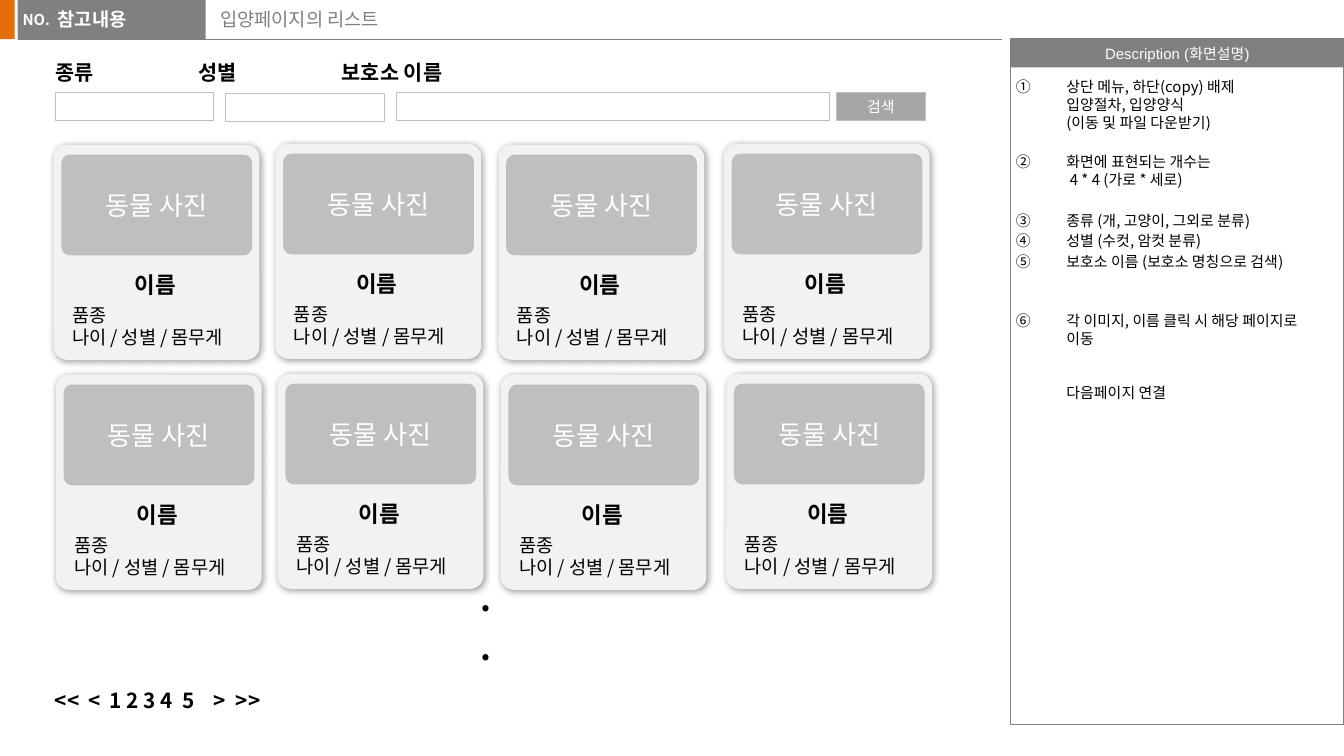
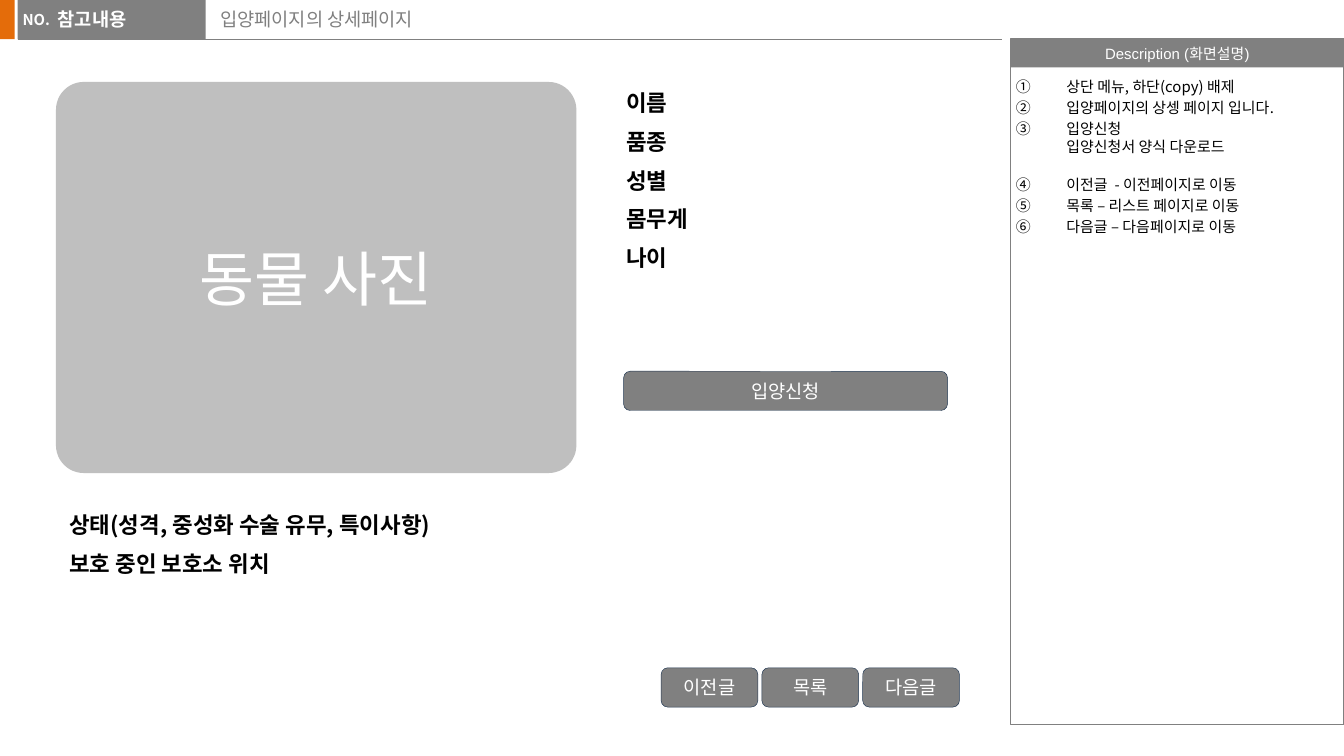
from copy import deepcopy
from dataclasses import dataclass

from lxml.etree import SubElement
from pptx import Presentation
from pptx.dml.color import RGBColor
from pptx.enum.shapes import MSO_CONNECTOR as Connector, MSO_SHAPE as Preset
from pptx.enum.text import MSO_ANCHOR as Anchor, MSO_AUTO_SIZE as Fit, PP_ALIGN as Align
from pptx.oxml.ns import qn
from pptx.util import Pt


@dataclass(frozen=True)
class Theme:
    """Colours, fonts and type sizes of the storyboard."""
    accent: str = "E46C0A"
    band: str = "808080"
    photo: str = "BFBFBF"
    search: str = "A6A6A6"
    card: str = "F2F2F2"
    edge: str = "233953"
    white: str = "FFFFFF"
    ink: str = "000000"
    korean: str = "Noto Sans CJK KR"
    latin: str = "Arial"
    small: float = 8
    normal: float = 10
    label: float = 11.1
    heading: float = 12
    caption: float = 14
    dot: float = 18
    poster: float = 32
    tight: float = 0.75


THEME = Theme()
INSETS = (7.2, 3.6, 7.2, 3.6)
HEADING = {"size": THEME.heading, "bold": True}
LABEL = {"size": THEME.label, "bold": True}
STACKED = {"line_spacing": THEME.tight, "space_before": Pt(10)}
CENTRED = {"alignment": Align.CENTER}


class Storyboard:
    """Draws storyboard elements on the current slide."""

    def __init__(self, deck, theme):
        """Keep the deck and its theme."""
        self.deck, self.theme = deck, theme

    def page(self, title, notes):
        """Start a slide with its title, header and description panel."""
        theme = self.theme
        self.slide = self.deck.slides.add_slide(self.deck.slide_layouts[5])
        self.canvas = self.slide.shapes
        heading = self.canvas.title
        for side, value in zip(("left", "top", "width", "height"), (110.9, 0.4, 425.5, 23)):
            setattr(heading, side, Pt(value))
        self.fill_text(heading, [title], {"size": theme.normal, "color": theme.band})
        self.box((-0.7, 0, 8.6, 21), theme.accent)
        self.rule((9.4, 21), (537, 21))
        self.box((9.4, 0, 100.8, 21), theme.band)
        white = {"color": theme.white, "bold": True}
        self.text((5, 2.2, 29.5, 17.3), ["NO."], {"size": theme.small, **white}, wrap=False)
        self.text((31, 0.7, 62.6, 22.3), ["참고내용"],
                  {"size": theme.normal, "name": theme.latin, **white}, insets=(0, 3.6, 0, 3.6))
        banner = self.box((541.4, 21, 178.6, 15.1), theme.band)
        self.fill_text(banner, ["Description (화면설명)"],
                       {"size": theme.small, "name": theme.latin, "color": theme.white},
                       CENTRED, anchor=Anchor.MIDDLE, wrap=False)
        self.box((541.4, 21, 178.6, 367.2), line=(theme.band, 0.75))
        self.description(notes)

    def box(self, place, fill=None, line=None, radius=None):
        """Draw a rectangle, rounded when a radius is given."""
        preset = Preset.RECTANGLE if radius is None else Preset.ROUNDED_RECTANGLE
        shape = self.canvas.add_shape(preset, *map(Pt, place))
        shape.shadow.inherit = False
        if radius is not None:
            shape.adjustments[0] = radius
        if fill:
            shape.fill.solid()
            shape.fill.fore_color.rgb = RGBColor.from_string(fill)
        else:
            shape.fill.background()
        if line:
            colour, weight = line
            shape.line.color.rgb = RGBColor.from_string(colour)
            shape.line.width = Pt(weight)
        else:
            shape.line.fill.background()
        return shape

    def rule(self, start, end):
        """Draw the thin header line."""
        line = self.canvas.add_connector(Connector.STRAIGHT, *map(Pt, start + end))
        line.line.color.rgb = RGBColor.from_string(self.theme.band)
        line.line.width = Pt(0.5)
        SubElement(line._element.spPr, qn("a:effectLst"))

    def fill_text(self, shape, lines, font, layout=None, insets=INSETS, anchor=Anchor.TOP,
                  wrap=True):
        """Fill a shape with formatted paragraphs."""
        frame = shape.text_frame
        sides = ("margin_left", "margin_top", "margin_right", "margin_bottom")
        settings = {"word_wrap": wrap, "auto_size": Fit.NONE, "vertical_anchor": anchor,
                    **dict(zip(sides, map(Pt, insets)))}
        for key, value in settings.items():
            setattr(frame, key, value)
        for index, line in enumerate(lines):
            paragraph = frame.add_paragraph() if index else frame.paragraphs[0]
            paragraph.text = line
            for key, value in {"alignment": Align.LEFT, **(layout or {})}.items():
                setattr(paragraph, key, value)
            self.style(paragraph, font)
        return frame

    def style(self, paragraph, font):
        """Apply font values to the runs and line breaks of a paragraph."""
        values = {"name": self.theme.korean, "bold": False, "color": self.theme.ink, **font}
        colour = values.pop("color")
        values["size"] = Pt(values["size"])
        for run in paragraph.runs:
            for key, value in values.items():
                setattr(run.font, key, value)
            run.font.color.rgb = RGBColor.from_string(colour)
            SubElement(run._r.rPr, qn("a:ea"), typeface=self.theme.korean)
        for line_break in paragraph._p.findall(qn("a:br")):
            line_break.append(deepcopy(paragraph.runs[0]._r.rPr))

    def text(self, place, lines, font, layout=None, **options):
        """Add a text box."""
        holder = self.canvas.add_textbox(*map(Pt, place))
        return self.fill_text(holder, lines, font, layout, **options)

    def tabbed(self, place, words, stops):
        """Add one bold line whose words stand on tab stops."""
        frame = self.text(place, ["\t".join(words)], LABEL, STACKED)
        tabs = SubElement(frame.paragraphs[0]._p.get_or_add_pPr(), qn("a:tabLst"))
        for stop in stops:
            SubElement(tabs, qn("a:tab"), pos=str(Pt(stop)), algn="l")

    def description(self, notes):
        """List notes as (text, space before, numbered)."""
        frame = self.text((541.4, 38.2, 178.6, 351), [note for note, _, _ in notes],
                          {"size": self.theme.small}, insets=(2.9, 3.6, 0, 3.6))
        for paragraph, (_, gap, numbered) in zip(frame.paragraphs, notes):
            paragraph.space_before = Pt(gap)
            props = paragraph._p.get_or_add_pPr()
            props.set("marL", str(Pt(27)))
            props.set("indent", str(Pt(-27 if numbered else 0)))
            if numbered:
                SubElement(props, qn("a:buAutoNum"), type="circleNumDbPlain")

    def panel(self, place, caption, size, fill, line=None, radius=None):
        """Draw a filled box with a white centred caption."""
        self.fill_text(self.box(place, fill, line, radius), [caption],
                       {"size": size, "color": self.theme.white}, CENTRED, anchor=Anchor.MIDDLE)

    def button(self, place, caption):
        """Draw a rounded grey button."""
        theme = self.theme
        self.panel(place, caption, theme.normal, theme.band, (theme.edge, 0.25), 0.167)

    def field(self, place):
        """Draw an empty search field."""
        self.box(place, self.theme.white, (self.theme.photo, 0.5))

    def card(self, left, top):
        """Draw one grouped animal card."""
        theme = self.theme
        self.canvas = self.slide.shapes.add_group_shape().shapes
        base = self.box((left, top, 110.2, 115.2), theme.card, radius=0.064)
        effects = base._element.spPr.find(qn("a:effectLst"))
        shadow = SubElement(effects, qn("a:outerShdw"), blurRad=str(Pt(4)), dist=str(Pt(1)),
                            dir="2700000", algn="tl", rotWithShape="0")
        tint = SubElement(shadow, qn("a:srgbClr"), val=theme.ink)
        SubElement(tint, qn("a:alpha"), val="40000")
        self.panel((left + 4.1, top + 5.2, 102.2, 54), "동물 사진", theme.caption,
                   theme.photo, radius=0.083)
        self.text((left + 2.8, top + 64, 103, 21.6), ["이름"], HEADING, CENTRED)
        self.text((left + 2.8, top + 81.4, 110.2, 43.9), ["품종", "나이 / 성별 / 몸무게"],
                  {"size": theme.normal})
        self.canvas = self.slide.shapes


def list_page(board):
    """Build the adoption list page."""
    theme = board.theme
    board.page("입양페이지의 리스트", [
        ("상단 메뉴, 하단(copy) 배제\v입양절차, 입양양식\v(이동 및 파일 다운받기)", 1.6, True),
        ("화면에 표현되는 개수는\v 4 * 4 (가로 * 세로)", 11.2, True),
        ("종류 (개, 고양이, 그외로 분류)", 12.3, True),
        ("성별 (수컷, 암컷 분류)", 1.6, True),
        ("보호소 이름 (보호소 명칭으로 검색)", 1.6, True),
        ("각 이미지, 이름 클릭 시 해당 페이지로\v이동", 22, True),
        ("다음페이지 연결", 19.3, False),
    ])
    board.tabbed((22.8, 31.7, 411, 18), ["종류", "성별", "보호소 이름"], (76.6, 153.2))
    for left, top, width in ((29.5, 49.7, 85), (121, 50.2, 85), (212.4, 49.7, 232)):
        board.field((left, top, width, 15.1))
    board.panel((447.9, 49.7, 48.2, 15.1), "검색", theme.small, theme.search, (theme.photo, 0.5))
    for row in range(2):
        for column, left in enumerate((28.8, 147.6, 267.1, 387.9)):
            board.card(left + 1.2 * row, 77.6 + 123.2 * row - 0.5 * (column % 2))
    board.text((54.7, 311, 411, 44), [".", "."], {"size": theme.dot, "bold": True},
               {**STACKED, **CENTRED})
    board.tabbed((22.3, 368, 411, 18), ["<<", "<", "1 2 3 4", "5", ">", ">>"],
                 (18.2, 29.5, 68.6, 85.2, 97))


def detail_page(board):
    """Build the adoption detail page."""
    theme = board.theme
    board.page("입양페이지의 상세페이지", [
        ("상단 메뉴, 하단(copy) 배제", 1.6, True),
        ("입양페이지의 상셍 페이지 입니다.", 1.6, True),
        ("입양신청\v입양신청서 양식 다운로드", 1.6, True),
        ("이전글  - 이전페이지로 이동", 11, True),
        ("목록 – 리스트 페이지로 이동", 1.6, True),
        ("다음글 – 다음페이지로 이동", 1.6, True),
    ])
    board.text((328.3, 47.5, 130.3, 170), ["이름", "품종", "성별", "몸무게", "나이"],
               HEADING, STACKED)
    board.panel((30, 43.9, 278.8, 209.5), "동물 사진", theme.poster, theme.photo, radius=0.071)
    board.text((30, 273.6, 444, 57.6),
               ["상태(성격, 중성화 수술 유무, 특이사항)", "보호 중인 보호소 위치"],
               HEADING, STACKED)
    for index, caption in enumerate(("이전글", "목록", "다음글")):
        board.button((354.2 + 54 * index, 357.8, 51.8, 21), caption)
    board.button((334.1, 198.9, 173.5, 21), "입양신청")


def main():
    """Build and save the deck."""
    deck = Presentation()
    deck.slide_width, deck.slide_height = Pt(720), Pt(405)
    board = Storyboard(deck, THEME)
    list_page(board)
    detail_page(board)
    deck.save("out.pptx")


main()
